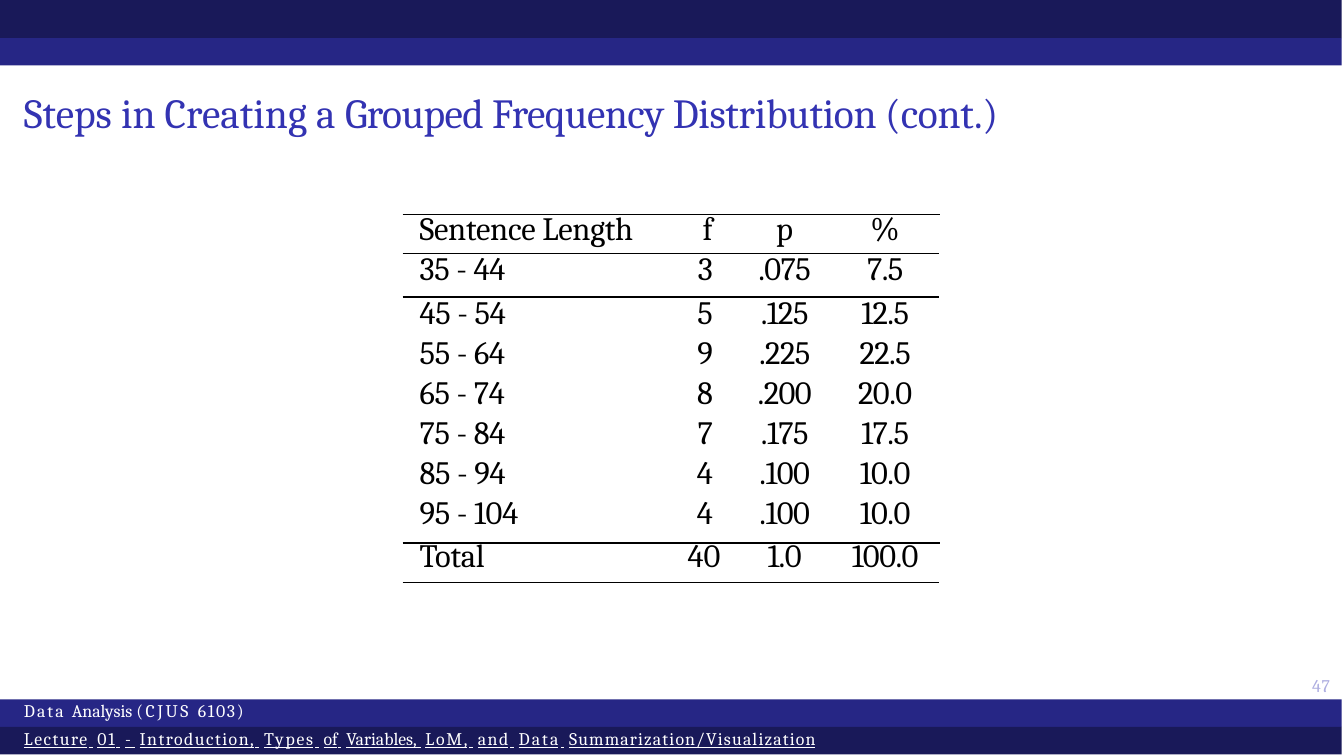
from dataclasses import dataclass

from lxml import etree
from pptx import Presentation
from pptx.dml.color import RGBColor
from pptx.enum import shapes, text
from pptx.oxml import ns
from pptx.util import Pt

COLORS = {"navy": "191959", "indigo": "262685", "title": "3333B2",
          "page": "ADADE0", "black": "000000", "white": "FFFFFF"}
FONT = "Cambria"
SLIDE_WIDTH, SLIDE_HEIGHT = 454.3, 255.6
PLAIN_TABLE_STYLE = "{2D5ABB26-0587-4C30-8999-92F81FD0307C}"
LEFT, RIGHT, CENTER = text.PP_ALIGN.LEFT, text.PP_ALIGN.RIGHT, text.PP_ALIGN.CENTER


@dataclass
class Bar:
    top: float
    height: float
    color: str


@dataclass
class Piece:
    words: str
    spacing: float = 0


@dataclass
class Line:
    pieces: list[Piece]
    before: float
    underline: bool = False


@dataclass
class Box:
    left: float
    top: float
    width: float
    height: float
    size: float
    color: str
    lines: list[Line]


@dataclass
class Row:
    cells: tuple[str, str, str, str]
    height: float = 13.5
    top_margin: float = 0
    before: float = 0.3
    leading: float | None = 12.2
    right_margin: float = 8.6
    borders: tuple[str, ...] = ()


def rgb(name: str) -> RGBColor:
    return RGBColor.from_string(COLORS[name])


def add_pieces(paragraph, pieces: list[Piece], size: float, color: str,
               underline: bool = False) -> None:
    for piece in pieces:
        run = paragraph.add_run()
        run.text = piece.words
        run.font.name, run.font.size = FONT, Pt(size)
        run.font.color.rgb = rgb(color)
        if underline:
            run.font.underline = True
        run._r.get_or_add_rPr().set("spc", str(round(piece.spacing * 100)))


def draw_bar(slide, bar: Bar) -> None:
    band = slide.shapes.add_shape(shapes.MSO_SHAPE.RECTANGLE, Pt(0), Pt(bar.top),
                                  Pt(453.6), Pt(bar.height))
    band.shadow.inherit = False
    band.fill.solid()
    band.fill.fore_color.rgb = rgb(bar.color)
    band.line.fill.background()


def draw_box(slide, box: Box) -> None:
    frame = slide.shapes.add_textbox(Pt(box.left), Pt(box.top), Pt(box.width),
                                     Pt(box.height)).text_frame
    frame.word_wrap = True
    frame.margin_left = frame.margin_right = frame.margin_bottom = 0
    frame.margin_top = Pt(1.3)
    for index, line in enumerate(box.lines):
        paragraph = frame.add_paragraph() if index else frame.paragraphs[0]
        paragraph.space_before = Pt(line.before)
        add_pieces(paragraph, line.pieces, box.size, box.color, line.underline)


def draw_rule(slide, left: float, right: float, y: float) -> None:
    rule = slide.shapes.add_connector(shapes.MSO_CONNECTOR.STRAIGHT,
                                      Pt(left), Pt(y), Pt(right), Pt(y))
    rule.line.color.rgb = rgb("black")
    rule.line.width = Pt(0.4)
    etree.SubElement(rule._element.spPr, ns.qn("a:effectLst"))


def add_border(cell, side: str) -> None:
    border = etree.Element(ns.qn(f"a:{side}"), w=str(Pt(0.5)))
    fill = etree.SubElement(border, ns.qn("a:solidFill"))
    etree.SubElement(fill, ns.qn("a:srgbClr"), val=COLORS["black"])
    properties = cell._tc.get_or_add_tcPr()
    properties.insert(len(properties) - 1, border)  # borders precede the fill


def draw_table(slide, left: float, top: float, widths: list[float],
               rows: list[Row]) -> None:
    frame = slide.shapes.add_table(len(rows), len(widths), Pt(left), Pt(top),
                                   Pt(sum(widths)), Pt(sum(r.height for r in rows)))
    table = frame.table
    table.first_row = table.horz_banding = False
    table._tbl.tblPr.find(ns.qn("a:tableStyleId")).text = PLAIN_TABLE_STYLE
    for column, width in zip(table.columns, widths):
        column.width = Pt(width)
    alignments = (LEFT, RIGHT, CENTER, CENTER)
    spacings = (-0.1, 0, -0.2, -0.2)
    for table_row, row in zip(table.rows, rows):
        table_row.height = Pt(row.height)
        for cell, words, align, spacing in zip(table_row.cells, row.cells,
                                               alignments, spacings):
            cell.margin_left = Pt(5.8 if align == LEFT else 0)
            cell.margin_right = Pt(row.right_margin if align == RIGHT else 0)
            cell.margin_top, cell.margin_bottom = Pt(row.top_margin), 0
            cell.fill.background()
            for side in row.borders:
                add_border(cell, side)
            paragraph = cell.text_frame.paragraphs[0]
            paragraph.alignment = align
            paragraph.space_before = Pt(row.before)
            if row.leading:
                paragraph.line_spacing = Pt(row.leading)
            add_pieces(paragraph, [Piece(words, spacing)], 11, "black")


def main() -> None:
    deck = Presentation()
    deck.slide_width, deck.slide_height = Pt(SLIDE_WIDTH), Pt(SLIDE_HEIGHT)
    slide = deck.slides.add_slide(deck.slide_layouts[6])

    # Header and footer bands
    for bar in (Bar(0, 12.9, "navy"), Bar(12.9, 9.3, "indigo"),
                Bar(236.5, 9.3, "indigo"), Bar(245.8, 9.3, "navy")):
        draw_bar(slide, bar)

    # Title
    title = [Piece("Steps in Creating a "), Piece("Grouped Frequency ", -0.2),
             Piece("Distribution (cont.)", -0.1)]
    draw_box(slide, Box(8.1, 28.1, 412.6, 19.4, 14, "title", [Line(title, 1.4)]))

    # Grouped frequency distribution
    classes = [("45 - 54", "5", ".125", "12.5"), ("55 - 64", "9", ".225", "22.5"),
               ("65 - 74", "8", ".200", "20.0"), ("75 - 84", "7", ".175", "17.5"),
               ("85 - 94", "4", ".100", "10.0"), ("95 - 104", "4", ".100", "10.0")]
    rows = [
        Row(("Sentence Length", "f", "p", "%"), 15.9, 1.4, 1.3, None,
            borders=("lnB",)),
        Row(("35 - 44", "3", ".075", "7.5"), 14.6, 0, 0, 11.9,
            borders=("lnT", "lnB")),
        *(Row(cells) for cells in classes),
        Row(("Total", "40", "1.0", "100.0"), 15.7, 0.7, 0.5, None, 6, ("lnB",)),
    ]
    draw_table(slide, 136.1, 69.9, [90.7, 22.8, 31.4, 36.6], rows)
    for y in (72.5, 183.6):
        draw_rule(slide, 136.1, 317.6, y)

    # Page number
    draw_box(slide, Box(443.5, 226.8, 10.8, 10.8, 6, "page",
                        [Line([Piece("47", 0.3)], 1.7)]))

    # Course and lecture names
    course = [Piece("Data ", 0.7), Piece("Analysis "), Piece("(CJUS ", 0.9),
              Piece("6103)", 0.6)]
    words = [("Lecture", 0.5), ("01", 0.6), ("-", 0), ("Introduction,", 0.5),
             ("Types", 0.6), ("of", 0), ("Variables,", 0), ("LoM,", 0.6),
             ("and", 0.5), ("Data", 0.7), ("Summarization/Visualization", 0.4)]
    lecture = [piece for word, spacing in words
               for piece in (Piece(word, spacing), Piece(" ", 1.6))][:-1]
    draw_box(slide, Box(8.1, 235.4, 297.4, 20.2, 6, "white",
                        [Line(course, 1.7), Line(lecture, 2.1, True)]))

    deck.save("out.pptx")


if __name__ == "__main__":
    main()
